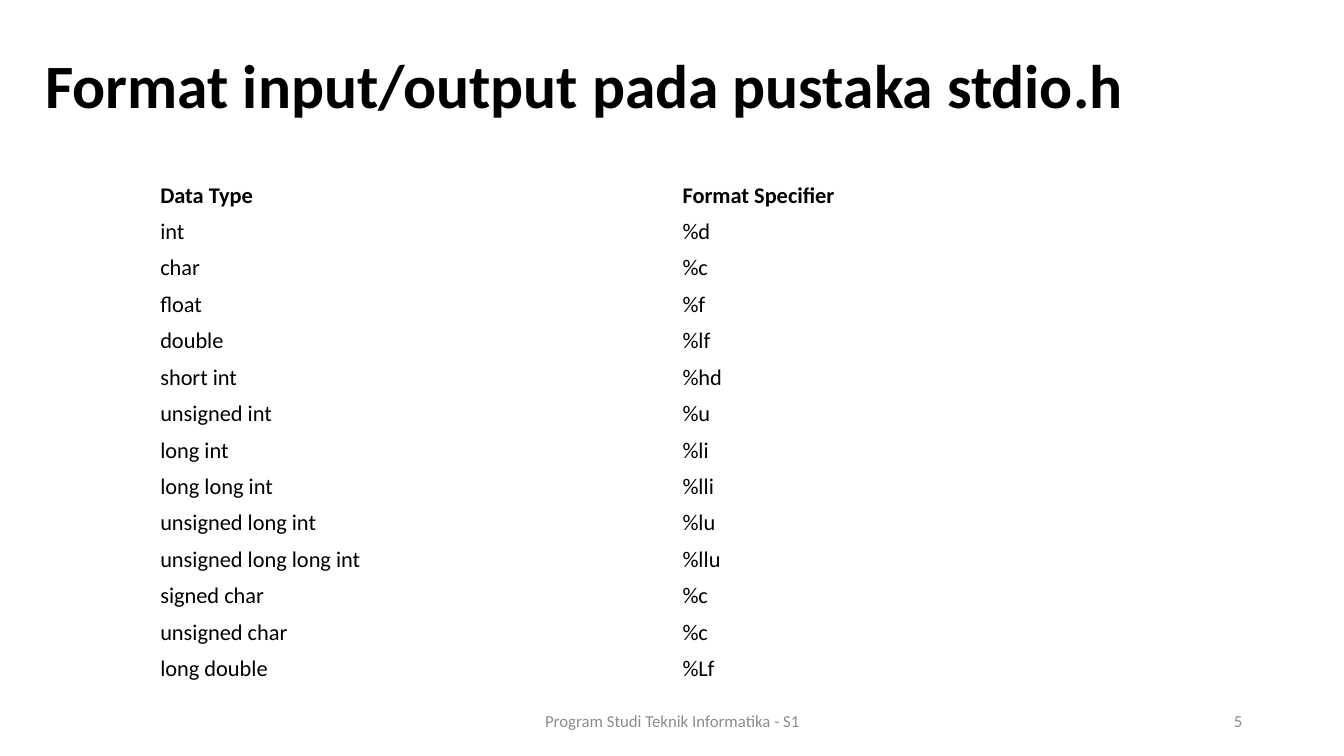
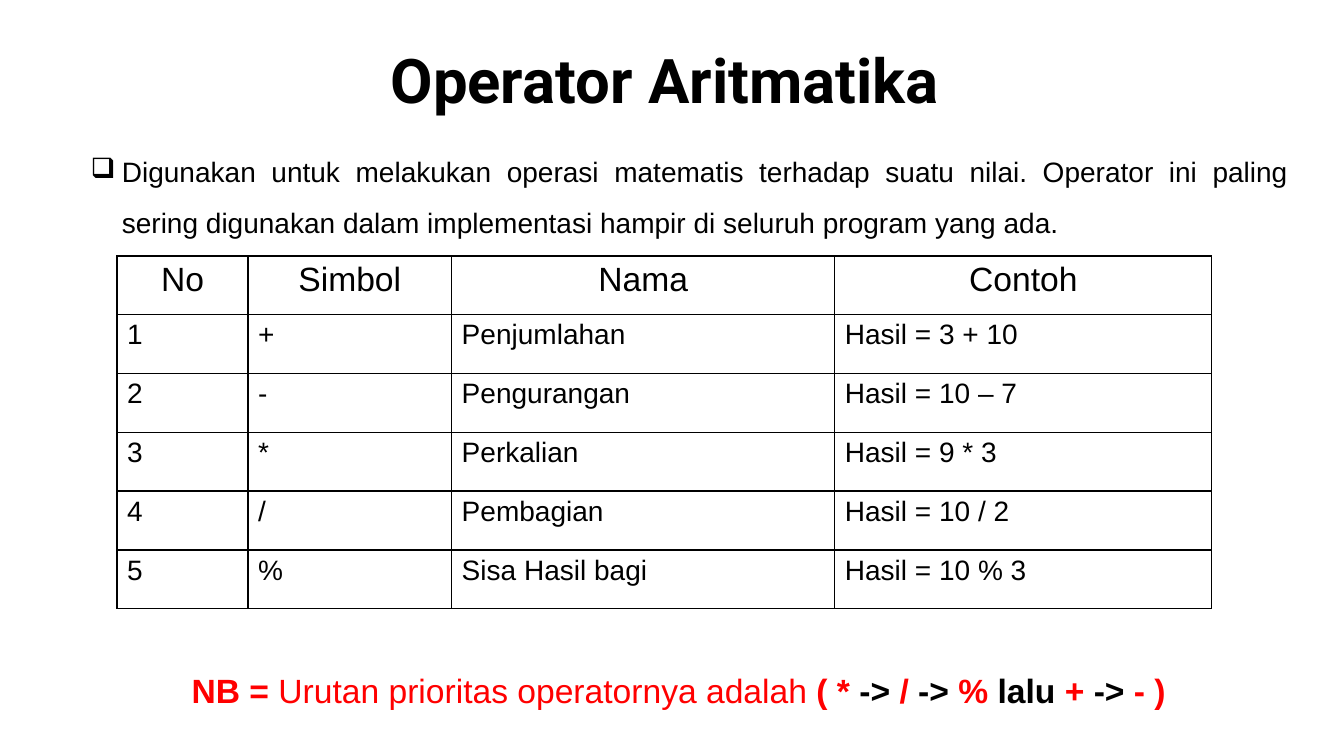
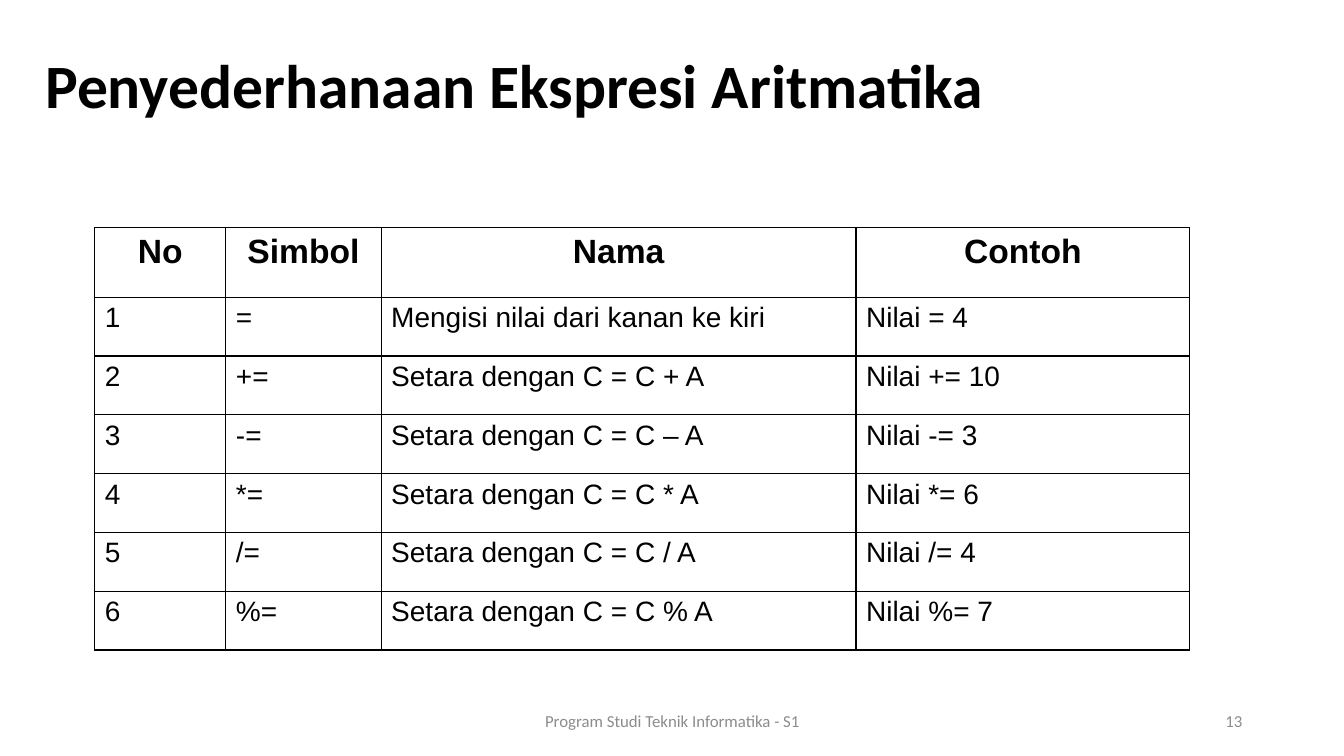
from lxml import etree
from pptx import Presentation
from pptx.dml.color import RGBColor
from pptx.enum.text import MSO_ANCHOR, PP_ALIGN
from pptx.oxml.ns import qn
from pptx.util import Pt

LEFT, RIGHT = PP_ALIGN.LEFT, PP_ALIGN.RIGHT
CENTER, JUST = PP_ALIGN.CENTER, PP_ALIGN.JUSTIFY
TOP, MID = MSO_ANCHOR.TOP, MSO_ANCHOR.MIDDLE
PX = 9144  # 100 px to the inch


class Theme:
    black, red, grey = "000000", "FF0000", "8C8C8C"
    sans, head, body = "Calibri", "Roboto", "Arial"
    title, large, text, small, foot = 44, 24, 20, 16, 12
    line = 1


# Content
FOOTER = "Program Studi Teknik Informatika - S1"
FORMATS = [
    ("Data Type", "Format Specifier"),
    ("int", "%d"),
    ("char", "%c"),
    ("float", "%f"),
    ("double", "%lf"),
    ("short int", "%hd"),
    ("unsigned int", "%u"),
    ("long int", "%li"),
    ("long long int", "%lli"),
    ("unsigned long int", "%lu"),
    ("unsigned long long int", "%llu"),
    ("signed char", "%c"),
    ("unsigned char", "%c"),
    ("long double", "%Lf"),
]
HEADS = ("No", "Simbol", "Nama", "Contoh")
MATH = [
    HEADS,
    ("1", "+", "Penjumlahan", "Hasil = 3 + 10"),
    ("2", "-", "Pengurangan", "Hasil = 10 – 7"),
    ("3", "*", "Perkalian", "Hasil = 9 * 3"),
    ("4", "/", "Pembagian", "Hasil = 10 / 2"),
    ("5", "%", "Sisa Hasil bagi", "Hasil = 10 % 3"),
]
SHORT = [
    HEADS,
    ("1", "=", "Mengisi nilai dari kanan ke kiri", "Nilai = 4"),
    ("2", "+=", "Setara dengan C = C + A", "Nilai += 10"),
    ("3", "-=", "Setara dengan C = C – A", "Nilai -= 3"),
    ("4", "*=", "Setara dengan C = C * A", "Nilai *= 6"),
    ("5", "/=", "Setara dengan C = C / A", "Nilai /= 4"),
    ("6", "%=", "Setara dengan C = C % A", "Nilai %= 7"),
]
INTRO = ("Digunakan untuk melakukan operasi matematis terhadap suatu nilai. "
         "Operator ini paling sering digunakan dalam implementasi hampir "
         "di seluruh program yang ada.")
# Runs: text, colour, bold
NOTE = [
    ("NB = ", Theme.red, True),
    ("Urutan prioritas operatornya adalah ", Theme.red, False),
    ("( * ", Theme.red, True),
    ("->", Theme.black, True),
    (" / ", Theme.red, True),
    ("->", Theme.black, True),
    (" % ", Theme.red, True),
    ("lalu ", Theme.black, True),
    ("+ ", Theme.red, True),
    ("->", Theme.black, True),
    (" - )", Theme.red, True),
]


def px(n):
    return round(n * PX)


def style(para, size, face, color=Theme.black, bold=False, align=LEFT):
    para.alignment = align
    font = para.font
    font.size, font.name, font.bold = Pt(size), face, bold
    font.color.rgb = RGBColor.from_string(color)


def add_text(slide, box, text, size, face, color=Theme.black, bold=False,
             align=LEFT, anchor=MID, space=None):
    frame = slide.shapes.add_textbox(*map(px, box)).text_frame
    frame.word_wrap = True
    frame.vertical_anchor = anchor
    para = frame.paragraphs[0]
    style(para, size, face, color, bold, align)
    para.line_spacing = space
    if text:
        para.add_run().text = text
    return para


def indent(para, left, first=0, mark=None):
    props = para._p.get_or_add_pPr()
    props.set("marL", str(px(left)))
    props.set("indent", str(px(first)))
    if mark:
        tint = etree.Element(qn("a:buClr"))
        etree.SubElement(tint, qn("a:srgbClr"), val=Theme.black)
        char = etree.Element(qn("a:buChar"), char=mark)
        spot = props.index(props.find(qn("a:defRPr")))
        props[spot:spot] = [tint, char]


def border(cell):
    props = cell._tc.get_or_add_tcPr()
    for i, side in enumerate("LRTB"):
        line = etree.Element(qn("a:ln" + side), w=str(Pt(Theme.line)))
        fill = etree.SubElement(line, qn("a:solidFill"))
        etree.SubElement(fill, qn("a:srgbClr"), val=Theme.black)
        props.insert(i, line)


def add_table(slide, spot, cols, high, first, rows, sizes, face,
              bold=True, align=CENTER, anchor=TOP, pad=(10, 5), grid=True):
    """Equal body rows share the height left below the first row."""
    box = (*spot, sum(cols), high)
    table = slide.shapes.add_table(len(rows), len(cols), *map(px, box)).table
    table.first_row = table.horz_banding = False
    for col, wide in zip(table.columns, cols):
        col.width = px(wide)
    rest = (high - first) / (len(rows) - 1)
    for r, row in enumerate(rows):
        top = r == 0
        table.rows[r].height = px(first if top else rest)
        for c, text in enumerate(row):
            cell = table.cell(r, c)
            cell.fill.background()
            cell.vertical_anchor = anchor
            cell.margin_left = cell.margin_right = px(pad[0])
            cell.margin_top = cell.margin_bottom = px(pad[1])
            cell.text = text
            style(cell.text_frame.paragraphs[0], sizes[0 if top else 1], face,
                  bold=top and bold, align=align if top else LEFT)
            if grid:
                border(cell)


def add_frame(slide, title, number):
    add_text(slide, (35, 15, 1098, 145), title, Theme.title, Theme.sans,
             bold=True, space=0.9)
    for left, wide, text, align in ((442, 450, FOOTER, CENTER),
                                    (942, 300, number, RIGHT)):
        add_text(slide, (left, 695, wide, 40), text, Theme.foot, Theme.sans,
                 Theme.grey, align=align)


def show_formats(slide):
    add_frame(slide, "Format input/output pada pustaka stdio.h", "5")
    add_table(slide, (150, 176), (518, 518), 506, 36, FORMATS,
              (Theme.small, Theme.small), Theme.sans, align=LEFT,
              anchor=MID, pad=(9, 4), grid=False)


def show_math(slide):
    add_text(slide, (109, 43, 1101, 80), "Operator Aritmatika", Theme.title,
             Theme.head, bold=True, align=CENTER, space=0.9)
    intro = add_text(slide, (30, 132, 1258, 111), INTRO, Theme.text,
                     Theme.body, align=JUST, anchor=TOP, space=1.5)
    indent(intro, 81, -31, "❑")
    add_table(slide, (116, 254), (130, 202, 380, 374), 350, 58, MATH,
              (Theme.large, Theme.text), Theme.body, bold=False)
    note = add_text(slide, (19, 640, 1258, 65), "", Theme.large, Theme.body,
                    align=CENTER, anchor=TOP, space=1.5)
    indent(note, 50)
    for text, color, bold in NOTE:
        run = note.add_run()
        run.text = text
        run.font.bold = bold
        run.font.color.rgb = RGBColor.from_string(color)


def show_short(slide):
    add_frame(slide, "Penyederhanaan Ekspresi Aritmatika", "13")
    add_table(slide, (94, 226), (130, 154, 471, 331), 419, 69, SHORT,
              (Theme.large, Theme.text), Theme.body)


def main():
    deck = Presentation()
    deck.slide_width, deck.slide_height = px(1333), px(750)
    for show in (show_formats, show_math, show_short):
        show(deck.slides.add_slide(deck.slide_layouts[6]))
    deck.save("out.pptx")


if __name__ == "__main__":
    main()
